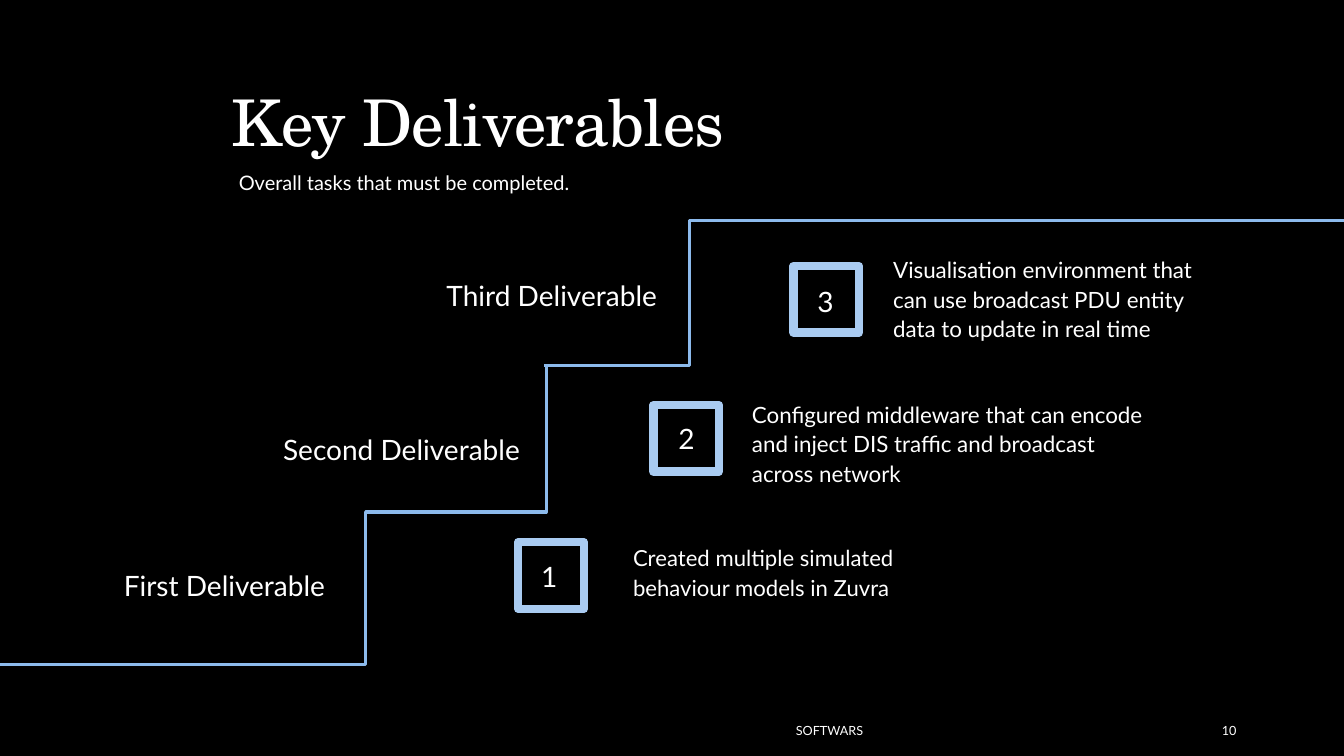
import pptx
import pptx.dml.color
import pptx.enum.shapes
import pptx.enum.text
import pptx.oxml
import pptx.oxml.ns
import pptx.util
from pptx.util import Inches

BLACK = pptx.dml.color.RGBColor(0x00, 0x00, 0x00)
WHITE = pptx.dml.color.RGBColor(0xFF, 0xFF, 0xFF)
PALE_BLUE = pptx.dml.color.RGBColor(0xA9, 0xCB, 0xF1)
STEP_BLUE = pptx.dml.color.RGBColor(0x8C, 0xBA, 0xEC)
BODY_FONT = "Lato"
TITLE_FONT = "TeX Gyre Schola"
LEFT = pptx.enum.text.PP_ALIGN.LEFT
RIGHT = pptx.enum.text.PP_ALIGN.RIGHT
TOP = pptx.enum.text.MSO_ANCHOR.TOP
MIDDLE = pptx.enum.text.MSO_ANCHOR.MIDDLE

# Number, badge position, number position, label and its position,
# description with its box and text size
DELIVERABLES = [
    ("1", (5.14, 5.38), (5.17, 5.47), "First Deliverable", (1.03, 5.56),
     "Created multiple simulated behaviour models in Zuvra", (6.08, 5.33, 3.58, 0.76), 15.8),
    ("2", (6.48, 4.02), (6.53, 4.1), "Second Deliverable", (2.61, 4.21),
     "Configured middleware that can encode and inject DIS traffic and broadcast across network",
     (7.26, 3.9, 4.22, 0.97), 16),
    ("3", (7.87, 2.64), (7.91, 2.74), "Third Deliverable", (4.23, 2.68),
     "Visualisation environment that can use broadcast PDU entity data to update in real time",
     (8.66, 2.47, 3.58, 0.76), 16),
]

# Start, end and position of the riser as a share of the width
STEPS = [
    ((0, 6.59), (5.43, 5.08), 0.668),
    ((3.65, 5.08), (6.8, 3.63), 0.561),
    ((5.4, 3.63), (13.33, 2.19), 0.181),
]


def write_text(shape, text, size, font=BODY_FONT, align=LEFT, anchor=TOP):
    """Write one run into a shape and return its paragraph and run."""
    frame = shape.text_frame
    frame.word_wrap = True
    frame.auto_size = pptx.enum.text.MSO_AUTO_SIZE.NONE
    frame.vertical_anchor = anchor
    paragraph = frame.paragraphs[0]
    paragraph.alignment = align
    run = paragraph.add_run()
    run.text = text
    run.font.name = font
    run.font.size = pptx.util.Pt(size)
    run.font.color.rgb = WHITE
    return paragraph, run


def space_paragraph(paragraph, line_spacing):
    paragraph.line_spacing = line_spacing
    paragraph.space_before = pptx.util.Pt(12)
    paragraph.space_after = pptx.util.Pt(2)


def add_text(slide, box, text, size, align=LEFT, anchor=TOP):
    shape = slide.shapes.add_textbox(*map(Inches, box))
    return write_text(shape, text, size, align=align, anchor=anchor)[0]


def add_indented_text(slide, box, text, size):
    paragraph = add_text(slide, box, text, size)
    space_paragraph(paragraph, 1.1)
    properties = paragraph._p.get_or_add_pPr()
    properties.set("marL", str(Inches(0.1)))
    properties.set("indent", "0")


def add_title(slide):
    title = slide.shapes.title
    title.left, title.top, title.width, title.height = map(Inches, (2.2, 0.91, 8.93, 0.76))
    paragraph, run = write_text(title, "Key Deliverables", 46, TITLE_FONT)
    paragraph.line_spacing = 0.8
    run._r.get_or_add_rPr().set("spc", "-50")


def add_badge(slide, position):
    badge = slide.shapes.add_shape(
        pptx.enum.shapes.MSO_SHAPE.RECTANGLE, *map(Inches, (*position, 0.65, 0.66)))
    badge.shadow.inherit = False
    badge.fill.background()
    badge.line.color.rgb = PALE_BLUE
    badge.line.width = pptx.util.Pt(6)


def add_step(slide, start, end, riser):
    step = slide.shapes.add_connector(
        pptx.enum.shapes.MSO_CONNECTOR.ELBOW, *map(Inches, (*start, *end)))
    step.line.color.rgb = STEP_BLUE
    step.line.width = pptx.util.Pt(2.25)
    properties = step._element.spPr
    properties.append(pptx.oxml.parse_xml(
        f"<a:effectLst {pptx.oxml.ns.nsdecls('a')}/>"))
    # Place the riser
    geometry = properties.find(pptx.oxml.ns.qn("a:prstGeom"))
    for adjustments in geometry.findall(pptx.oxml.ns.qn("a:avLst")):
        geometry.remove(adjustments)
    geometry.append(pptx.oxml.parse_xml(
        f"<a:avLst {pptx.oxml.ns.nsdecls('a')}>"
        f'<a:gd name="adj1" fmla="val {round(riser * 100000)}"/></a:avLst>'))


def add_deliverable(slide, number, badge_position, number_position,
                    label, label_position, description, description_box, size):
    add_badge(slide, badge_position)
    add_indented_text(slide, (*number_position, 0.53, 0.66), number, 20)
    add_indented_text(slide, (*label_position, 3.03, 0.48), label, 20)
    add_indented_text(slide, description_box, description, size)


def main():
    presentation = pptx.Presentation()
    presentation.slide_width = Inches(13.33)
    presentation.slide_height = Inches(7.5)
    slide = presentation.slides.add_slide(presentation.slide_layouts[5])
    slide.background.fill.solid()
    slide.background.fill.fore_color.rgb = BLACK

    # Heading
    add_title(slide)
    subtitle = add_text(slide, (2.27, 1.67, 8.93, 0.32),
                        "Overall tasks that must be completed.", 14.3)
    space_paragraph(subtitle, 0.9)

    # Staircase and deliverables
    for step in STEPS:
        add_step(slide, *step)
    for deliverable in DELIVERABLES:
        add_deliverable(slide, *deliverable)

    # Footer and page number
    add_text(slide, (1.2, 7.05, 7.46, 0.4), "SOFTWARS", 9, RIGHT, MIDDLE)
    add_text(slide, (12.02, 7.05, 0.85, 0.4), "10", 9, LEFT, MIDDLE)

    presentation.save("out.pptx")


if __name__ == "__main__":
    main()
